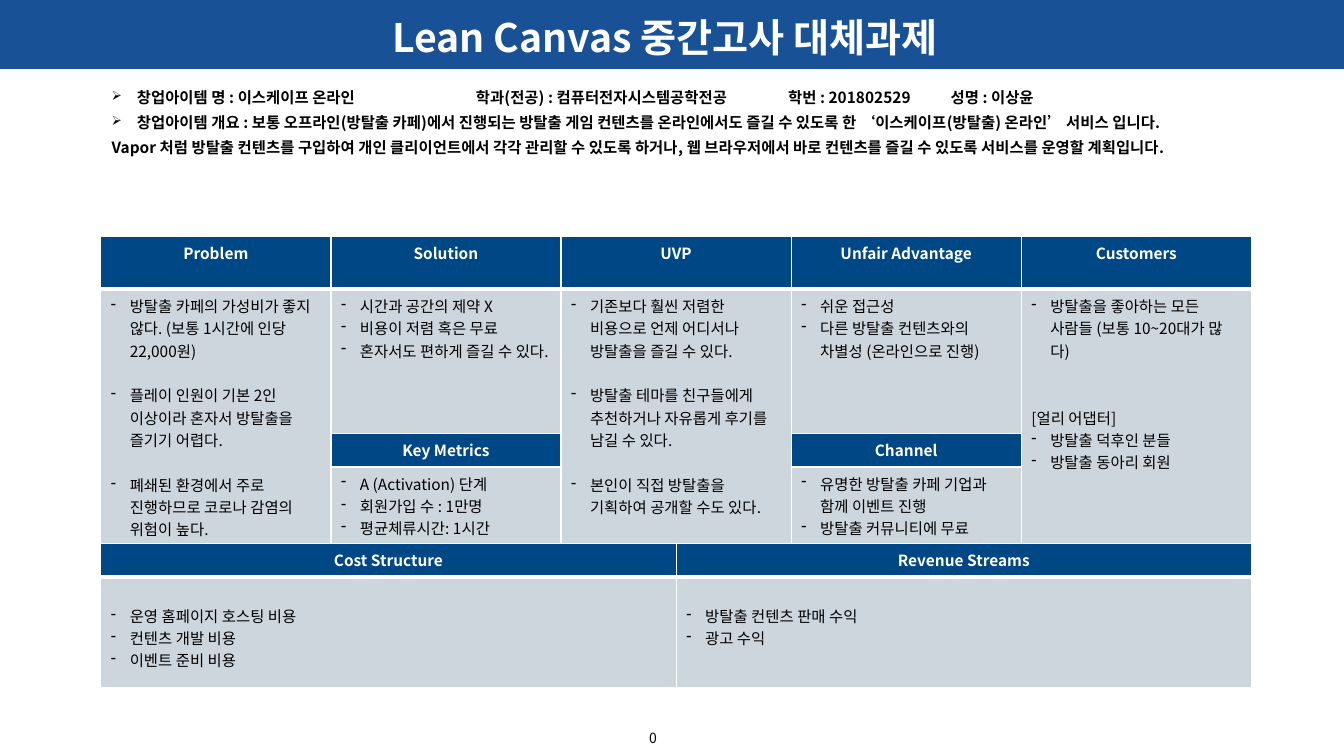
import pptx
import pptx.util
import pptx.dml.color
import pptx.enum.shapes
import pptx.enum.text
import pptx.oxml.ns
import lxml.etree

Pt = pptx.util.Pt
ALIGN = pptx.enum.text.PP_ALIGN
ANCHOR = pptx.enum.text.MSO_ANCHOR
FONT = "Noto Sans CJK KR"
COLORS = {"bar": "185196", "head": "004785", "body": "CED6DD",
          "white": "FFFFFF", "black": "000000"}
LEFT, WIDTH, LINE = 72, 822, 16

HEADS = ["Problem", "Solution", "UVP", "Unfair Advantage", "Customers"]
# (row, column): (items, gap between items, rows spanned)
BLOCKS = {
    (1, 0): (["방탈출 카페의 가성비가 좋지 않다. (보통 1시간에 인당 22,000원)",
              "플레이 인원이 기본 2인 이상이라 혼자서 방탈출을 즐기기 어렵다.",
              "폐쇄된 환경에서 주로 진행하므로 코로나 감염의 위험이 높다."], LINE, 3),
    (1, 1): (["시간과 공간의 제약 X", "비용이 저렴 혹은 무료",
              "혼자서도 편하게 즐길 수 있다."], 0, 1),
    (1, 2): (["기존보다 훨씬 저렴한 비용으로 언제 어디서나 방탈출을 즐길 수 있다.",
              "방탈출 테마를 친구들에게 추천하거나 자유롭게 후기를 남길 수 있다.",
              "본인이 직접 방탈출을 기획하여 공개할 수도 있다."], LINE, 3),
    (1, 3): (["쉬운 접근성", "다른 방탈출 컨텐츠와의 차별성 (온라인으로 진행)"], 0, 1),
    (1, 4): (["방탈출을 좋아하는 모든 사람들 (보통 10~20대가 많다)",
              "[얼리 어댑터]", "방탈출 덕후인 분들", "방탈출 동아리 회원"], 0, 3),
    (3, 1): (["A (Activation) 단계", "회원가입 수 : 1만명", "평균체류시간: 1시간"], 0, 1),
    (3, 3): (["유명한 방탈출 카페 기업과 함께 이벤트 진행", "방탈출 커뮤니티에 무료"], 0, 1),
}
MONEY = {
    "Cost Structure": ["운영 홈페이지 호스팅 비용", "컨텐츠 개발 비용", "이벤트 준비 비용"],
    "Revenue Streams": ["방탈출 컨텐츠 판매 수익", "광고 수익"],
}
ABOUT = [
    "창업아이템 명 : 이스케이프 온라인",
    "창업아이템 개요 : 보통 오프라인(방탈출 카페)에서 진행되는 방탈출 게임 컨텐츠를 "
    "온라인에서도 즐길 수 있도록 한 ‘이스케이프(방탈출) 온라인’ 서비스 입니다.",
    "Vapor 처럼 방탈출 컨텐츠를 구입하여 개인 클리이언트에서 각각 관리할 수 있도록 하거나, "
    "웹 브라우저에서 바로 컨텐츠를 즐길 수 있도록 서비스를 운영할 계획입니다.",
]
FIELDS = {340: "학과(전공) : 컴퓨터전자시스템공학전공",
          563: "학번 : 201802529", 679: "성명 : 이상윤"}


def color(name):
    """Look up a named colour."""
    return pptx.dml.color.RGBColor.from_string(COLORS[name])


def add(parent, tag, **attrs):
    """Append a DrawingML element."""
    return lxml.etree.SubElement(parent, pptx.oxml.ns.qn(tag), **attrs)


def style(para, size=11, tint="black", bold=False):
    """Format the runs of a paragraph."""
    for run in para.runs:
        font = run.font
        font.size, font.bold, font.name = Pt(size), bold, FONT
        font.color.rgb = color(tint)
        add(run.font._element, "a:ea", typeface=FONT)


def bullet(para, char, hang, scale=100):
    """Give a paragraph a hanging bullet."""
    props = para._p.get_or_add_pPr()
    props.set("marL", str(Pt(hang)))
    props.set("indent", str(-Pt(hang)))
    add(props, "a:buSzPct", val=str(scale * 1000))
    add(props, "a:buChar", char=char)


def label(slide, box, lines, inset=None, **look):
    """Add a text box and return its frame."""
    frame = slide.shapes.add_textbox(*map(Pt, box)).text_frame
    frame.word_wrap = True
    frame.text = "\n".join(lines)
    if inset is not None:
        frame.margin_left = frame.margin_right = Pt(inset)
        frame.margin_top = frame.margin_bottom = Pt(inset)
    for para in frame.paragraphs:
        style(para, **look)
    return frame


def banner(slide):
    """Draw the title bar and its title."""
    bar = slide.shapes.add_shape(
        pptx.enum.shapes.MSO_SHAPE.RECTANGLE, 0, 0, Pt(960), Pt(49))
    bar.shadow.inherit = False
    bar.fill.solid()
    bar.fill.fore_color.rgb = bar.line.color.rgb = color("bar")
    bar.line.width = Pt(1)
    title = label(slide, (157, 9.5, 636, 34), ["Lean Canvas 중간고사 대체과제"],
                  inset=0, size=28, tint="white", bold=True)
    title.vertical_anchor = ANCHOR.MIDDLE
    title.paragraphs[0].alignment = ALIGN.CENTER


def about(slide):
    """Add the item summary and the student's fields."""
    main_box = label(slide, (72.7, 54.7, WIDTH, 103), ABOUT, bold=True)
    for para in main_box.paragraphs[:2]:
        bullet(para, "➢", 18, 85)
    frames = [main_box]
    for left, text in FIELDS.items():
        frames.append(label(slide, (left, 54.7, 220, 30), [text],
                            bold=True))
        frames[-1].margin_left = 0
    for frame in frames:
        for para in frame.paragraphs:
            para.line_spacing = 1.36


def edges(cell, row):
    """Draw white cell borders, thick under the header row."""
    thick = {"T": 3 if row == 1 else 1, "B": 3 if row == 0 else 1}
    props = cell._tc.get_or_add_tcPr()
    for spot, side in enumerate("LRTB"):
        line = lxml.etree.Element(pptx.oxml.ns.qn("a:ln" + side),
                                  w=str(Pt(thick.get(side, 1))))
        add(add(line, "a:solidFill"), "a:srgbClr", val=COLORS["white"])
        props.insert(spot, line)


def grid(slide, top, rows, cols, heads):
    """Add a plain table whose rows named in heads are dark."""
    shape = slide.shapes.add_table(len(rows), cols, Pt(LEFT), Pt(top),
                                   Pt(WIDTH), Pt(sum(rows)))
    table = shape.table
    table.first_row = table.horz_banding = False
    for row, high in enumerate(rows):
        table.rows[row].height = Pt(high)
        for col in range(cols):
            cell = table.cell(row, col)
            cell.fill.solid()
            cell.fill.fore_color.rgb = color(
                "head" if (row, col) in heads else "body")
            edges(cell, row)
    for (row, col), text in heads.items():
        cell = table.cell(row, col)
        cell.text_frame.text = text
        para = cell.text_frame.paragraphs[0]
        para.alignment = ALIGN.CENTER
        style(para, tint="white", bold=True)
    return table


def items(cell, lines, gap=0):
    """Fill a cell with dashed items; bracketed lines are subheads."""
    cell.text_frame.text = "\n".join(lines)
    for spot, para in enumerate(cell.text_frame.paragraphs):
        style(para)
        if para.text.startswith("["):
            para.space_before = Pt(2 * LINE)
            continue
        bullet(para, "-", 13.5)
        if spot and gap:
            para.space_before = Pt(gap)


def canvas(slide):
    """Add the upper canvas table."""
    heads = {(0, col): text for col, text in enumerate(HEADS)}
    heads.update({(2, 1): "Key Metrics", (2, 3): "Channel"})
    table = grid(slide, 169.2, [37.5, 103, 24, 62], len(HEADS), heads)
    for (row, col), (lines, gap, span) in BLOCKS.items():
        cell = table.cell(row, col)
        if span > 1:
            cell.merge(table.cell(row + span - 1, col))
        items(cell, lines, gap)


def money(slide):
    """Add the cost and revenue table."""
    heads = {(0, col): text for col, text in enumerate(MONEY)}
    table = grid(slide, 388, [24, 79], len(MONEY), heads)
    for col, lines in enumerate(MONEY.values()):
        cell = table.cell(1, col)
        cell.margin_top = Pt(3.6 + LINE)
        items(cell, lines)


def main():
    """Build and save the slide."""
    deck = pptx.Presentation()
    deck.slide_width, deck.slide_height = Pt(960), Pt(540)
    slide = deck.slides.add_slide(deck.slide_layouts[6])
    banner(slide)
    about(slide)
    canvas(slide)
    money(slide)
    page = label(slide, (463.7, 514, 32, 19), ["0"], inset=0, size=10)
    page.vertical_anchor = ANCHOR.BOTTOM
    deck.save("out.pptx")


main()
